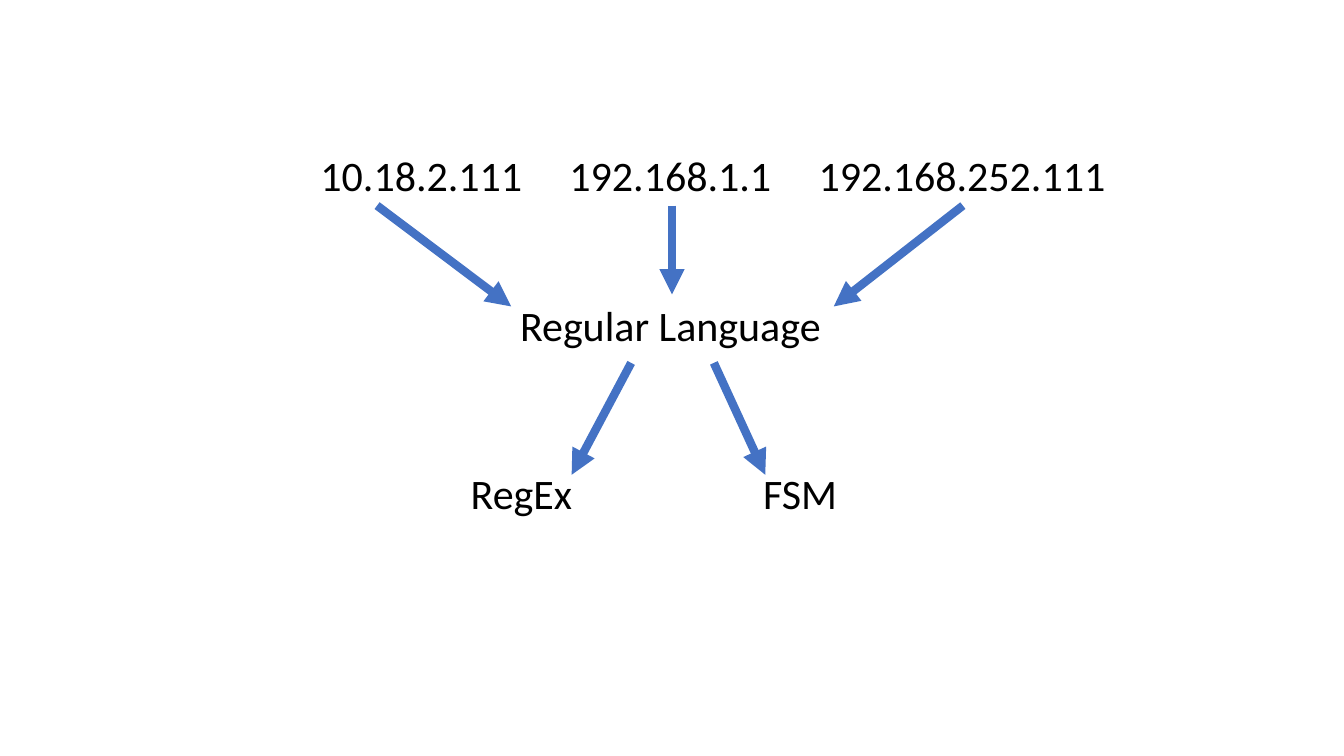
from dataclasses import dataclass
from typing import Optional

from lxml.etree import SubElement
from pptx import Presentation
from pptx.dml.color import RGBColor
from pptx.enum.shapes import MSO_CONNECTOR
from pptx.enum.text import MSO_AUTO_SIZE
from pptx.oxml.ns import qn
from pptx.shapes.autoshape import Shape
from pptx.slide import Slide
from pptx.util import Inches, Pt

COLORS = {"text": "000000", "arrow": "4472C4"}
LABEL_FONT = {"name": "Calibri", "size": Pt(30)}
LABEL_HEIGHT = 0.61
ADDRESS_TOP, LANGUAGE_TOP, NOTATION_TOP = 1.43, 2.92, 4.59
ADDRESS_BOTTOM = ADDRESS_TOP + LABEL_HEIGHT
BOTTOM_SIDE, TOP_SIDE = 2, 0


@dataclass
class Label:
    text: str
    left: float
    top: float
    width: float
    wrap: bool = False


@dataclass
class Arrow:
    start: tuple[float, float]
    end: tuple[float, float]
    source: Optional[str] = None
    target: Optional[str] = None


LABELS = [
    Label("10.18.2.111", 3.08, ADDRESS_TOP, 2.23, True),
    Label("192.168.1.1", 5.55, ADDRESS_TOP, 2.23),
    Label("192.168.252.111", 8.02, ADDRESS_TOP, 3.08, True),
    Label("Regular Language", 5.06, LANGUAGE_TOP, 3.21),
    Label("RegEx", 4.57, NOTATION_TOP, 1.22),
    Label("FSM", 7.47, NOTATION_TOP, 0.94),
]

ARROWS = [
    Arrow((3.74, ADDRESS_BOTTOM), (5.07, 3.04)),
    Arrow((6.67, ADDRESS_BOTTOM), (6.67, LANGUAGE_TOP), "192.168.1.1", "Regular Language"),
    Arrow((9.55, ADDRESS_BOTTOM), (8.27, 3.04)),
    Arrow((6.26, 3.6), (5.67, 4.71)),
    Arrow((7.08, 3.6), (7.59, 4.71)),
]


def add_label(slide: Slide, label: Label) -> Shape:
    box = slide.shapes.add_textbox(
        Inches(label.left), Inches(label.top), Inches(label.width), Inches(LABEL_HEIGHT)
    )
    frame = box.text_frame
    frame.word_wrap = label.wrap
    frame.auto_size = MSO_AUTO_SIZE.SHAPE_TO_FIT_TEXT
    run = frame.paragraphs[0].add_run()
    run.text = label.text
    for attribute, value in LABEL_FONT.items():
        setattr(run.font, attribute, value)
    run.font.color.rgb = RGBColor.from_string(COLORS["text"])
    return box


def add_arrow(slide: Slide, arrow: Arrow, boxes: dict[str, Shape]) -> None:
    connector = slide.shapes.add_connector(
        MSO_CONNECTOR.STRAIGHT, *map(Inches, arrow.start + arrow.end)
    )
    if arrow.source:
        connector.begin_connect(boxes[arrow.source], BOTTOM_SIDE)
    if arrow.target:
        connector.end_connect(boxes[arrow.target], TOP_SIDE)
    connector.line.color.rgb = RGBColor.from_string(COLORS["arrow"])
    connector.line.width = Pt(6)
    SubElement(connector.line._get_or_add_ln(), qn("a:tailEnd"), type="triangle")
    SubElement(connector._element.spPr, qn("a:effectLst"))


def main() -> None:
    presentation = Presentation()
    presentation.slide_width = Inches(13.33)
    presentation.slide_height = Inches(7.5)
    slide = presentation.slides.add_slide(presentation.slide_layouts[6])
    boxes = {label.text: add_label(slide, label) for label in LABELS}
    for arrow in ARROWS:
        add_arrow(slide, arrow, boxes)
    presentation.save("out.pptx")


if __name__ == "__main__":
    main()
